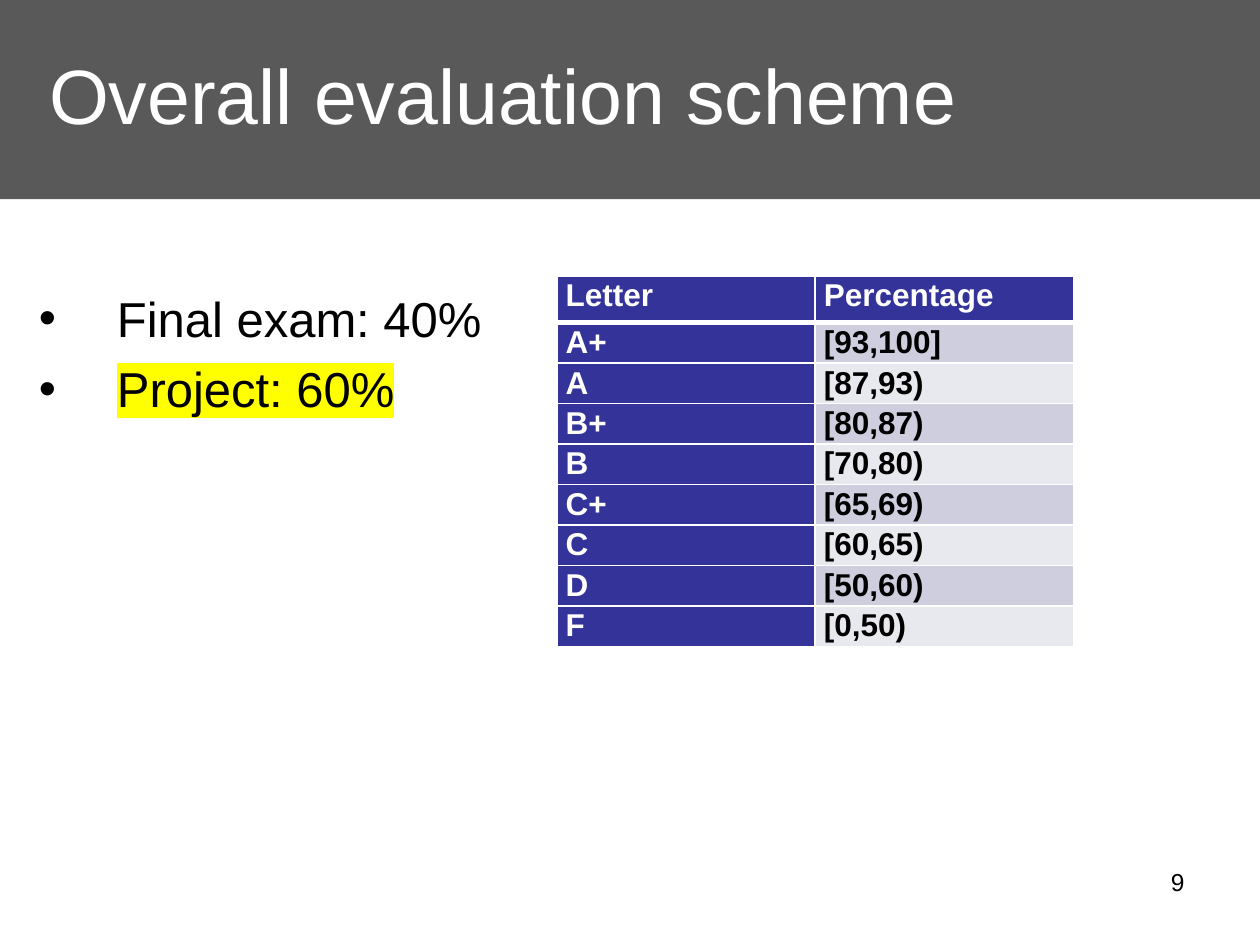
from lxml.etree import SubElement
from pptx import Presentation
from pptx.dml.color import RGBColor
from pptx.enum.shapes import MSO_SHAPE
from pptx.enum.text import MSO_ANCHOR, PP_ALIGN
from pptx.oxml.ns import qn
from pptx.util import Inches, Pt

BLACK, WHITE, BLUE = "000000", "FFFFFF", "333399"
BANDS = ["CECEDE", "E8E8EF"]
GRADES = [
    ("Letter", "Percentage"),
    ("A+", "[93,100]"),
    ("A", "[87,93)"),
    ("B+", "[80,87)"),
    ("B", "[70,80)"),
    ("C+", "[65,69)"),
    ("C", "[60,65)"),
    ("D", "[50,60)"),
    ("F", "[0,50)"),
]


def paint(fill, color):
    fill.solid()
    fill.fore_color.rgb = RGBColor.from_string(color)


def add_run(para, text, size, color=BLACK, bold=False, mark=None):
    """Add a run; mark is its highlight colour."""
    run = para.add_run()
    run.text = text
    run.font.size, run.font.bold, run.font.name = Pt(size), bold, "Arial"
    paint(run.font.fill, color)
    if mark:
        props = run.font._element
        light = SubElement(props, qn("a:highlight"))
        SubElement(light, qn("a:srgbClr"), val=mark)
        props.find(qn("a:latin")).addprevious(light)


def add_box(slide, left, top, width, height):
    box = slide.shapes.add_textbox(
        Inches(left), Inches(top), Inches(width), Inches(height))
    box.text_frame.word_wrap = True
    return box.text_frame


def add_title(slide, text):
    bar = slide.shapes.add_shape(
        MSO_SHAPE.RECTANGLE, 0, 0, Inches(10), Inches(1.58))
    bar.shadow.inherit = False
    bar.line.fill.background()
    paint(bar.fill, BLACK)
    tint = bar._element.spPr.find(qn("a:solidFill"))[0]
    SubElement(tint, qn("a:alpha"), val="65000")
    frame = bar.text_frame
    frame.word_wrap = True
    frame.vertical_anchor = MSO_ANCHOR.MIDDLE
    frame.margin_left = Inches(0.39)
    para = frame.paragraphs[0]
    para.alignment = PP_ALIGN.LEFT
    para.line_spacing = 0.9
    add_run(para, text, 44, WHITE)


def add_list(slide, items):
    frame = add_box(slide, 0.21, 2.2, 9.2, 1.14)
    frame.margin_top = Inches(0.09)
    for i, (text, mark) in enumerate(items):
        para = frame.add_paragraph() if i else frame.paragraphs[0]
        props = para._p.get_or_add_pPr()
        props.set("marL", str(Inches(0.62)))
        props.set("indent", str(-Inches(0.62)))
        SubElement(props, qn("a:buFont"), typeface="Arial")
        SubElement(props, qn("a:buChar"), char="•")
        if i:
            para.space_before = Pt(6.5)
        add_run(para, text, 28, mark=mark)


def add_edges(cell, base):
    """Draw white cell borders; base is the bottom width in points."""
    props = cell._tc.get_or_add_tcPr()
    for i, (side, width) in enumerate(zip("LRTB", (1, 1, 1, base))):
        line = SubElement(props, qn(f"a:ln{side}"), w=str(Pt(width)))
        fill = SubElement(line, qn("a:solidFill"))
        SubElement(fill, qn("a:srgbClr"), val=WHITE)
        props.insert(i, line)


def fill_cell(cell, text, back, color, base):
    cell.margin_left = cell.margin_right = Inches(0.07)
    cell.margin_top = cell.margin_bottom = 0
    paint(cell.fill, back)
    add_edges(cell, base)
    para = cell.text_frame.paragraphs[0]
    para.line_spacing = 1.07
    add_run(para, text, 18, color, bold=True)


def add_grades(slide, rows):
    table = slide.shapes.add_table(
        len(rows), 2, Inches(4.42), Inches(2.19),
        Inches(4.1), Inches(2.81)).table
    for r, row in enumerate(rows):
        table.rows[r].height = Inches(0.3 if r else 0.37)
        for c, text in enumerate(row):
            plain = r > 0 and c > 0
            back = BANDS[(r - 1) % 2] if plain else BLUE
            fill_cell(table.cell(r, c), text, back,
                      BLACK if plain else WHITE, 1 if r else 3)


def add_number(slide, text):
    para = add_box(slide, 7.17, 6.83, 2.33, 0.52).paragraphs[0]
    para.alignment = PP_ALIGN.RIGHT
    add_run(para, text, 14)


def main():
    deck = Presentation()
    deck.slide_width, deck.slide_height = Inches(10), Inches(7.5)
    slide = deck.slides.add_slide(deck.slide_layouts[6])
    add_number(slide, "9")
    add_list(slide, [("Final exam: 40%", None), ("Project: 60%", "FFFF00")])
    add_title(slide, "Overall evaluation scheme")
    add_grades(slide, GRADES)
    deck.save("out.pptx")


if __name__ == "__main__":
    main()
